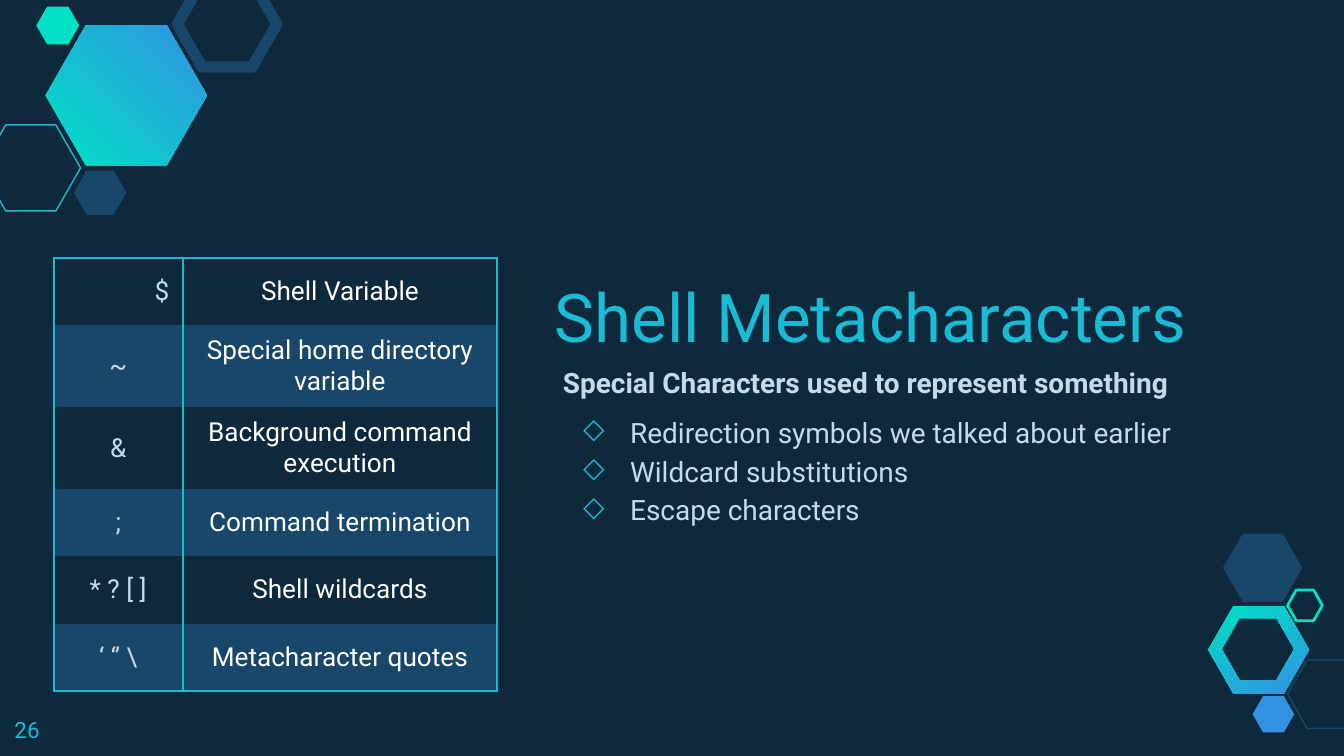
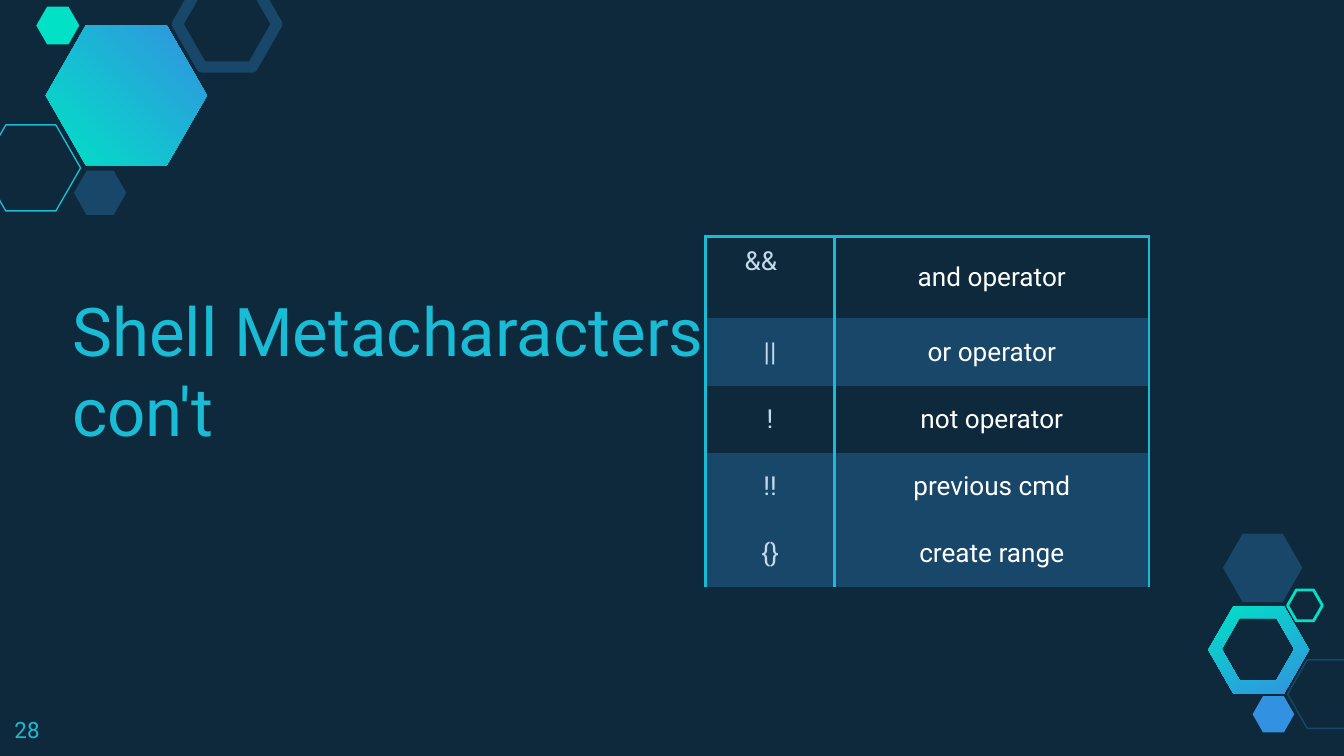
from lxml import etree
from pptx import Presentation
from pptx.dml.color import RGBColor
from pptx.enum.shapes import MSO_SHAPE
from pptx.enum.text import MSO_ANCHOR, PP_ALIGN
from pptx.oxml.ns import qn
from pptx.util import Inches, Pt

HEXAGON = MSO_SHAPE.HEXAGON
TOP, MIDDLE, BOTTOM = MSO_ANCHOR.TOP, MSO_ANCHOR.MIDDLE, MSO_ANCHOR.BOTTOM
LEFT, CENTER, RIGHT = PP_ALIGN.LEFT, PP_ALIGN.CENTER, PP_ALIGN.RIGHT

NAVY = RGBColor(0x0E, 0x29, 0x3C)
STEEL = RGBColor(0x18, 0x47, 0x69)
CYAN = RGBColor(0x19, 0xBB, 0xD5)
MINT = RGBColor(0x00, 0xE1, 0xC6)
BLUE = RGBColor(0x32, 0x92, 0xE1)
PALE = RGBColor(0xC6, 0xDA, 0xEC)
WHITE = RGBColor(0xFF, 0xFF, 0xFF)
FONT = "Roboto"
NO_STYLE = "{2D5ABB26-0587-4C30-8999-92F81FD0307C}"

deck = Presentation()
deck.slide_width, deck.slide_height = Inches(10), Inches(5.625)
# All lengths below count columns of a grid 100 columns wide with square cells.
COLUMN = deck.slide_width // 100
SLOPE = 0.287  # share of a hexagon's height taken by its slanted side
ROW, TALL_ROW = 5, 6.1
TABLE_COLUMNS = (9.6, 23.4)

# Left, top, width, height, fill, line colour, line width
HEXAGONS = [
    (-1.4, 9.3, 7.4, 6.4, None, CYAN, 0.75),
    (5.5, 12.7, 3.9, 3.3, STEEL, None, 0),
    (13.2, -1.4, 7.4, 6.4, None, STEEL, 6),
    (2.7, 0.5, 3.2, 2.8, MINT, None, 0),
    (95.8, 49.1, 5.9, 5.1, None, STEEL, 0.75),
    (93.2, 51.8, 3.1, 2.7, BLUE, None, 0),
    (91, 39.7, 5.9, 5.1, STEEL, None, 0),
    (95.8, 43.9, 2.6, 2.3, None, MINT, 1.5),
]
# Outlines of each gradient hexagon (outer, then hole) and gradient angle
GRADIENT_HEXAGONS = [
    ([(89.9, 45.1, 7.5, 6.5), (90.9, 46, 5.4, 4.6)], 296),
    ([(3.4, 1.9, 12, 10.4)], 45),
]

SLIDES = [
    {
        "number": "26",
        "title": "Shell Metacharacters",
        "title_at": (40.3, 14.8, 49.9, 12.7),
        "lead": "Special Characters used to represent something",
        "bullets": ["Redirection symbols we talked about earlier",
                    "Wildcard substitutions", "Escape characters"],
        "table_at": (4, 19.2),
        "rows": [("$", "Shell Variable"), ("~", "Special home directory variable"),
                 ("&", "Background command execution"), (";", "Command termination"),
                 ("* ? [ ]", "Shell wildcards"), ("‘ ‘’ \\", "Metacharacter quotes")],
        "tall": {1, 2},
        "shaded": {1, 3, 5},
        "closed": True,
        "first_cell": (RIGHT, MIDDLE, 1),
    },
    {
        "number": "28",
        "title": "Shell Metacharacters con't",
        "title_at": (4.4, 21.8, 49.9, 12.7),
        "table_at": (52.5, 17.6),
        "rows": [("&&", "and operator"), ("||", "or operator"), ("!", "not operator"),
                 ("!!", "previous cmd"), ("{}", "create range")],
        "tall": {0},
        "shaded": {1, 3, 4},
        "closed": False,
        "first_cell": (LEFT, TOP, 2.9),
    },
]


def grid(*lengths):
    return [round(length * COLUMN) for length in lengths]


def add_text(slide, place, lines, size, color, anchor=TOP):
    box = slide.shapes.add_textbox(*grid(*place))
    frame = box.text_frame
    frame.word_wrap = True
    frame.vertical_anchor = anchor
    frame.margin_left = frame.margin_right = frame.margin_top = frame.margin_bottom = COLUMN
    frame.text = "\n".join(lines)
    for para in frame.paragraphs:
        para.font.name, para.font.size, para.font.color.rgb = FONT, Pt(size), color
    return frame.paragraphs


for content in SLIDES:
    slide = deck.slides.add_slide(deck.slide_layouts[6])
    slide.background.fill.solid()
    slide.background.fill.fore_color.rgb = NAVY

    # Hexagon clusters
    for outlines, angle in GRADIENT_HEXAGONS:
        builder = None
        for left, top, width, height in outlines:
            inset = SLOPE * height
            right, bottom, middle = left + width, top + height, top + height / 2
            points = [grid(*point) for point in (
                (left, middle), (left + inset, top), (right - inset, top),
                (right, middle), (right - inset, bottom), (left + inset, bottom))]
            if builder is None:
                builder = slide.shapes.build_freeform(*points[0])
            else:
                points = points[:1] + points[:0:-1]
                builder.move_to(*points[0])
            builder.add_line_segments(points[1:], close=True)
        shape = builder.convert_to_shape()
        shape.shadow.inherit = False
        shape.line.fill.background()
        shape.fill.gradient()
        shape.fill.gradient_angle = angle
        for stop, color in zip(shape.fill.gradient_stops, (MINT, BLUE)):
            stop.color.rgb = color

    for left, top, width, height, fill, line, weight in HEXAGONS:
        shape = slide.shapes.add_shape(HEXAGON, *grid(left, top, width, height))
        shape.adjustments[0] = SLOPE
        shape.shadow.inherit = False
        if fill:
            shape.fill.solid()
            shape.fill.fore_color.rgb = fill
            shape.line.fill.background()
        else:
            shape.fill.background()
            shape.line.color.rgb = line
            shape.line.width = Pt(weight)

    # Title, body and page number
    add_text(slide, content["title_at"], [content["title"]], 36, CYAN, BOTTOM)
    if "bullets" in content:
        lead, *bullets = add_text(slide, (40.9, 26.2, 52.1, 26.9),
                                  [content["lead"], *content["bullets"]], 15, PALE)
        lead.font.bold = True
        lead.space_before = bullets[0].space_before = Pt(6)
        for para in bullets:
            para.line_spacing = 1.15
            properties = para._p.get_or_add_pPr()
            properties.set("marL", str(Inches(0.5)))
            properties.set("indent", str(Inches(-0.35)))
            bullet_color = etree.SubElement(properties, qn("a:buClr"))
            etree.SubElement(bullet_color, qn("a:srgbClr"), val=str(CYAN))
            etree.SubElement(properties, qn("a:buChar"), char="◇")
            # The schema wants default run properties after the bullet
            properties.append(properties.find(qn("a:defRPr")))
    add_text(slide, (0.1, 52.3, 6, 3.9), [content["number"]], 12, CYAN)

    # Table of metacharacters
    rows = content["rows"]
    heights = [TALL_ROW if index in content["tall"] else ROW for index in range(len(rows))]
    frame = slide.shapes.add_table(len(rows), 2, *grid(
        *content["table_at"], sum(TABLE_COLUMNS), sum(heights)))
    table = frame.table
    table.first_row = table.horz_banding = False
    table._tbl.tblPr.find(qn("a:tableStyleId")).text = NO_STYLE
    for column, width in zip(table.columns, grid(*TABLE_COLUMNS)):
        column.width = width
    for row, height in zip(table.rows, grid(*heights)):
        row.height = height
    for row_index, row_texts in enumerate(rows):
        sides = ["lnL", "lnR"]
        if row_index == 0:
            sides.append("lnT")
        if row_index == len(rows) - 1 and content["closed"]:
            sides.append("lnB")
        for column_index, text in enumerate(row_texts):
            cell = table.cell(row_index, column_index)
            is_first = row_index == column_index == 0
            align, anchor, indent = content["first_cell"] if is_first else (CENTER, MIDDLE, 1)
            cell.text = text
            cell.vertical_anchor = anchor
            cell.margin_left, cell.margin_right = grid(indent, 1)
            cell.margin_top = cell.margin_bottom = Inches(0.07)
            para = cell.text_frame.paragraphs[0]
            para.alignment = align
            para.font.name, para.font.size = FONT, Pt(14)
            para.font.color.rgb = WHITE if column_index else PALE
            for side in sides:
                border = etree.SubElement(cell._tc.get_or_add_tcPr(), qn("a:" + side),
                                          w=str(Pt(1.5)))
                border_fill = etree.SubElement(border, qn("a:solidFill"))
                etree.SubElement(border_fill, qn("a:srgbClr"), val=str(CYAN))
            cell.fill.solid()
            cell.fill.fore_color.rgb = STEEL if row_index in content["shaded"] else NAVY

deck.save("out.pptx")
